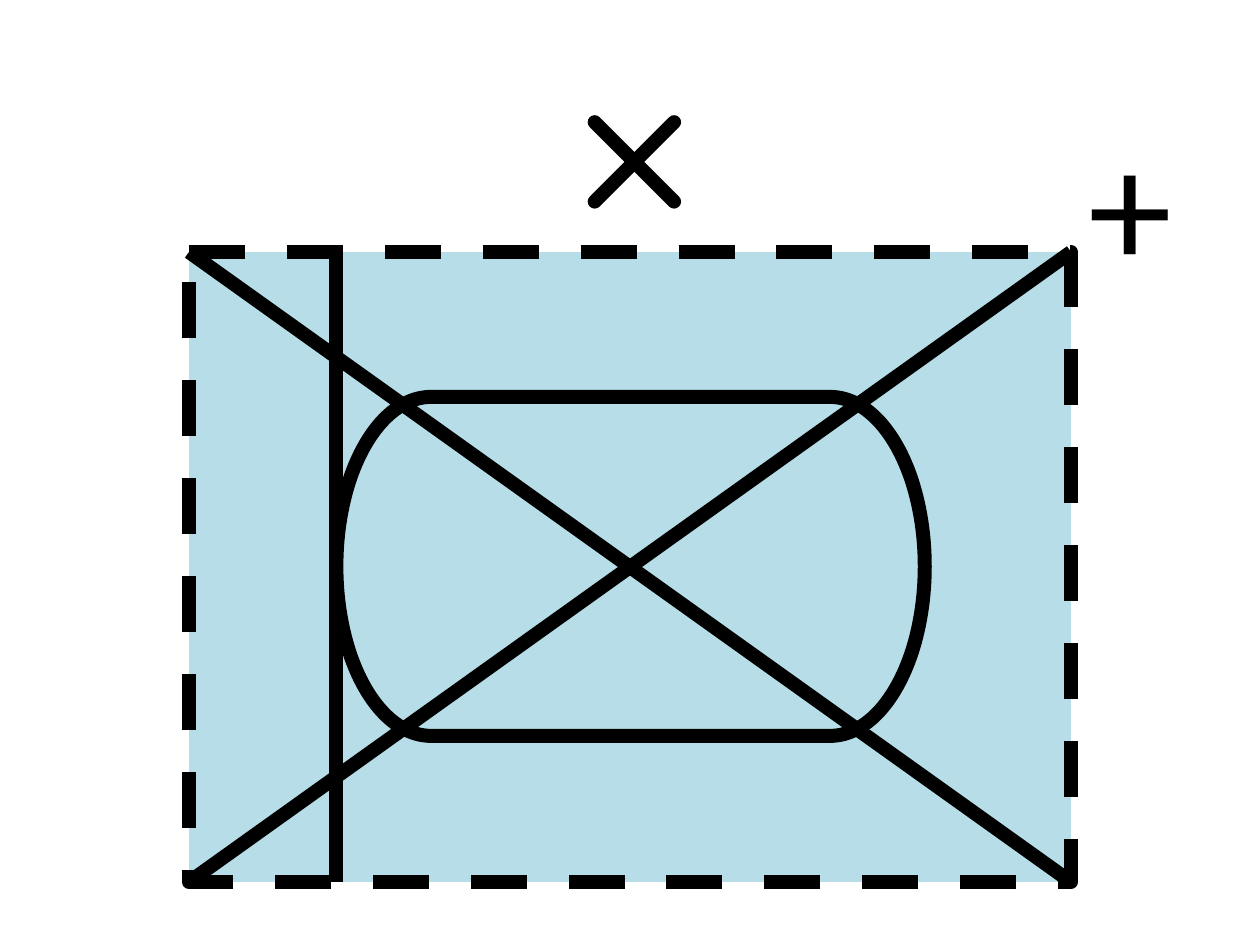
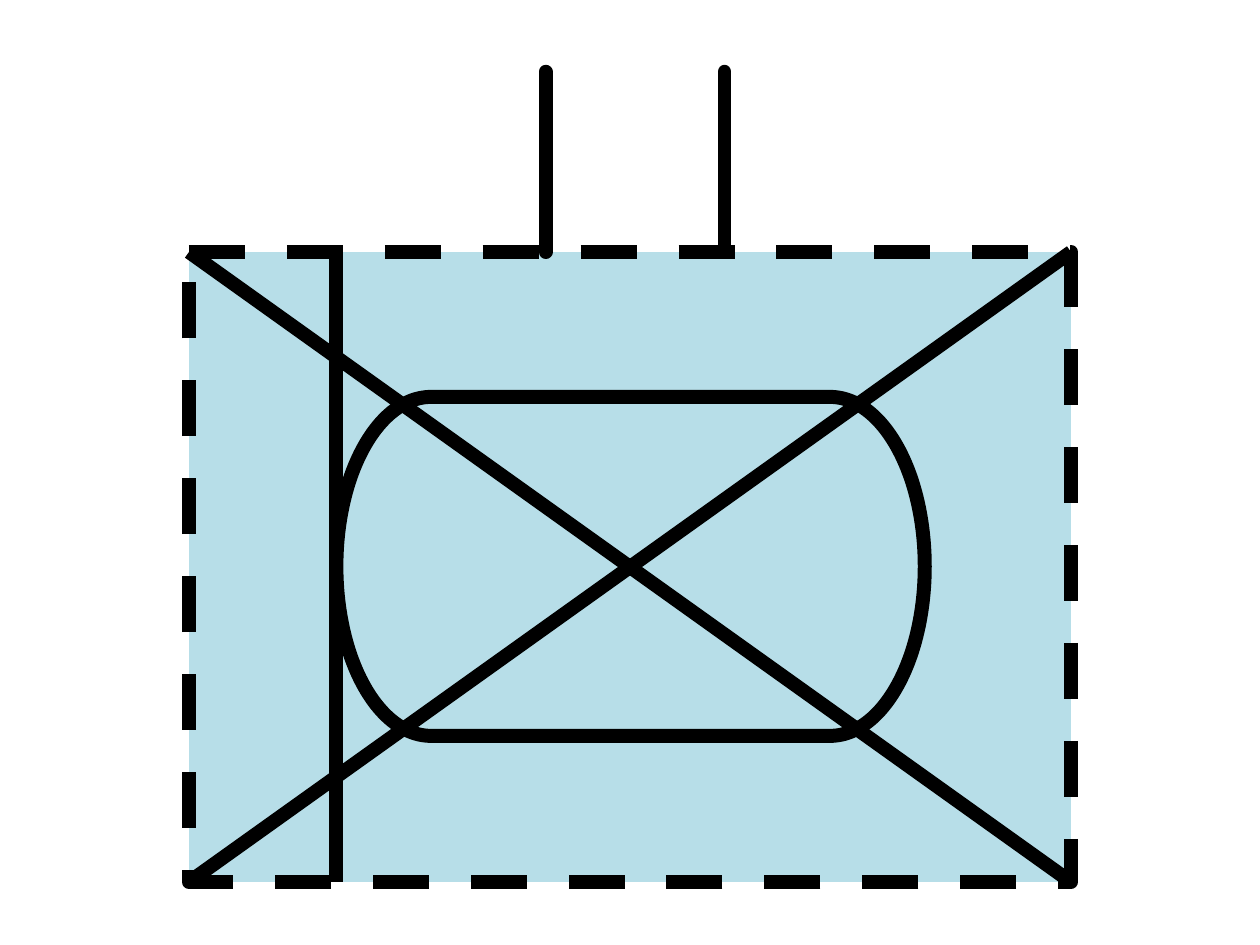
from dataclasses import dataclass

import pptx
import pptx.dml.color
import pptx.enum.dml
import pptx.enum.shapes
import pptx.enum.text
import pptx.oxml
import pptx.oxml.ns
import pptx.shapes.group
import pptx.util
from pptx.util import Inches

COLORS = {"ink": "000000", "unit": "B7DEE8"}
STROKE = pptx.util.Pt(8)
SHAPE = pptx.enum.shapes.MSO_SHAPE


@dataclass(frozen=True)
class Box:
    left: float
    top: float
    width: float
    height: float

    @property
    def right(self) -> float:
        return self.left + self.width

    @property
    def bottom(self) -> float:
        return self.top + self.height

    def lengths(self) -> list[pptx.util.Length]:
        return [Inches(n) for n in (self.left, self.top, self.width, self.height)]


@dataclass(frozen=True)
class Stroke:
    x1: float
    y1: float
    x2: float
    y2: float
    round_ends: bool = False


FRAME = Box(1.5, 2, 7, 5)
TRACK = Box(2.67, 3.15, 4.67, 2.69)
PLUS = Box(8.54, 0.75, 0.87, 1.72)
CROSS = Box(4.72, 0.97, 0.63, 0.63)
BAR_TOP = 0.57
BAR_POSITIONS = (4.33, 5.75)


def color(name: str) -> pptx.dml.color.RGBColor:
    return pptx.dml.color.RGBColor.from_string(COLORS[name])


def diagonals(box: Box, round_ends: bool = False) -> list[Stroke]:
    return [
        Stroke(box.left, box.bottom, box.right, box.top, round_ends),
        Stroke(box.right, box.bottom, box.left, box.top, round_ends),
    ]


def draw_outline(group: pptx.shapes.group.GroupShape, kind: SHAPE, box: Box, dashed: bool = False) -> None:
    shape = group.shapes.add_shape(kind, *box.lengths())
    shape.shadow.inherit = False
    shape.fill.solid()
    shape.fill.fore_color.rgb = color("unit")
    shape.line.color.rgb = color("ink")
    shape.line.width = STROKE
    if dashed:
        shape.line.dash_style = pptx.enum.dml.MSO_LINE.DASH


def draw_stroke(group: pptx.shapes.group.GroupShape, stroke: Stroke) -> None:
    ends = [Inches(n) for n in (stroke.x1, stroke.y1, stroke.x2, stroke.y2)]
    line = group.shapes.add_connector(pptx.enum.shapes.MSO_CONNECTOR.STRAIGHT, *ends)
    line.line.color.rgb = color("ink")
    line.line.width = STROKE
    properties = line.element.spPr
    if stroke.round_ends:
        properties.find(pptx.oxml.ns.qn("a:ln")).set("cap", "rnd")
    properties.append(pptx.oxml.parse_xml(f"<a:effectLst {pptx.oxml.ns.nsdecls('a')}/>"))


def draw_plus(group: pptx.shapes.group.GroupShape) -> None:
    box = group.shapes.add_textbox(*PLUS.lengths())
    box.text_frame.word_wrap = False
    box.text_frame.auto_size = pptx.enum.text.MSO_AUTO_SIZE.SHAPE_TO_FIT_TEXT
    span = box.text_frame.paragraphs[0].add_run()
    span.text = "+"
    span.font.name = "Calibri"
    span.font.size = pptx.util.Pt(96)
    span.font.color.rgb = color("ink")


def add_symbol(deck: pptx.presentation.Presentation, marks: list[Stroke]) -> pptx.shapes.group.GroupShape:
    page = deck.slides.add_slide(deck.slide_layouts[6])
    group = page.shapes.add_group_shape()
    draw_outline(group, SHAPE.FLOWCHART_PROCESS, FRAME, dashed=True)
    draw_outline(group, SHAPE.FLOWCHART_TERMINATOR, TRACK)
    side_bar = Stroke(TRACK.left, FRAME.top, TRACK.left, FRAME.bottom)
    for stroke in [*diagonals(FRAME), side_bar, *marks]:
        draw_stroke(group, stroke)
    return group


def main() -> None:
    deck = pptx.Presentation()
    deck.slide_width, deck.slide_height = Inches(10), Inches(7.5)
    draw_plus(add_symbol(deck, diagonals(CROSS, round_ends=True)))
    add_symbol(deck, [Stroke(x, BAR_TOP, x, FRAME.top, True) for x in BAR_POSITIONS])
    deck.save("out.pptx")


if __name__ == "__main__":
    main()
